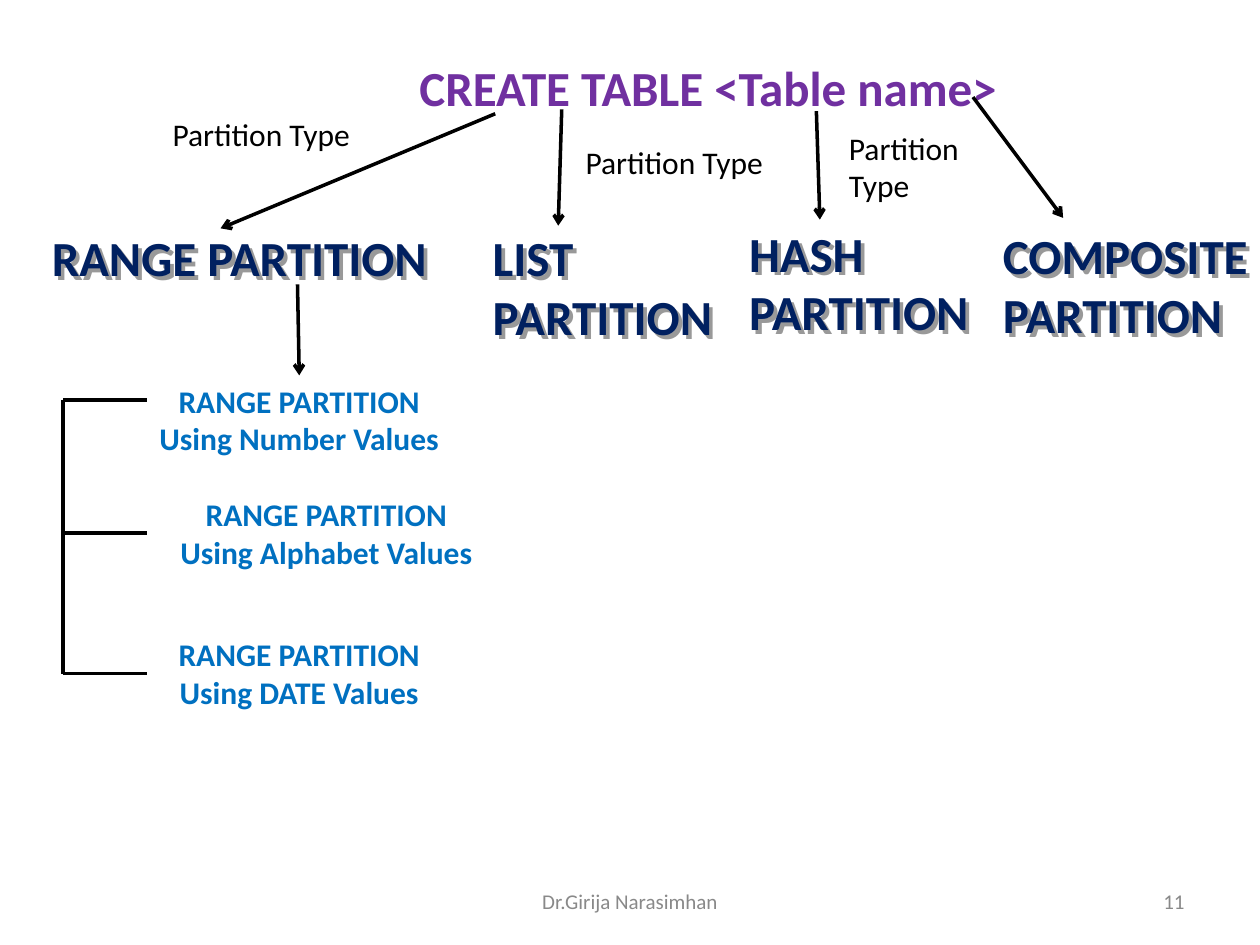
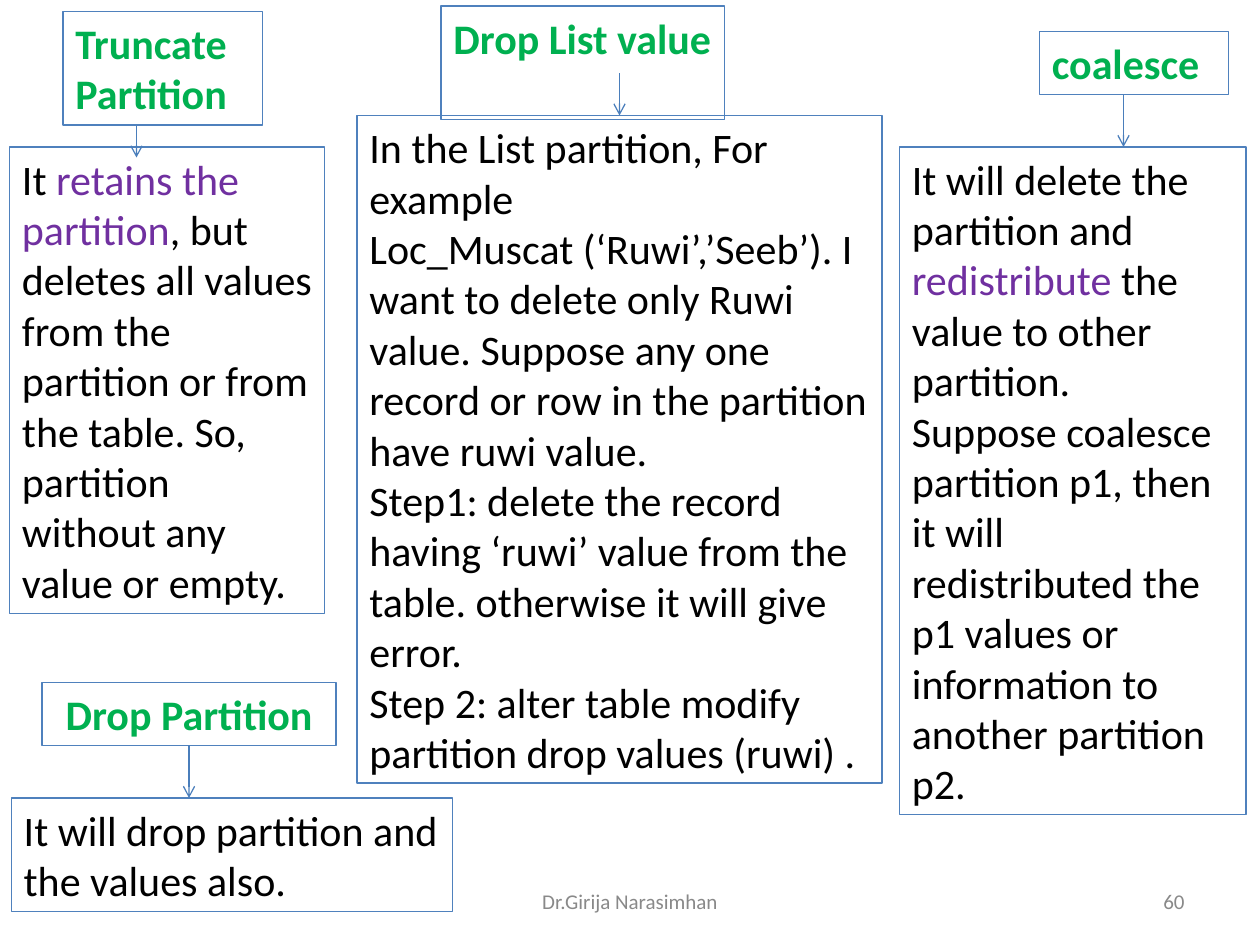
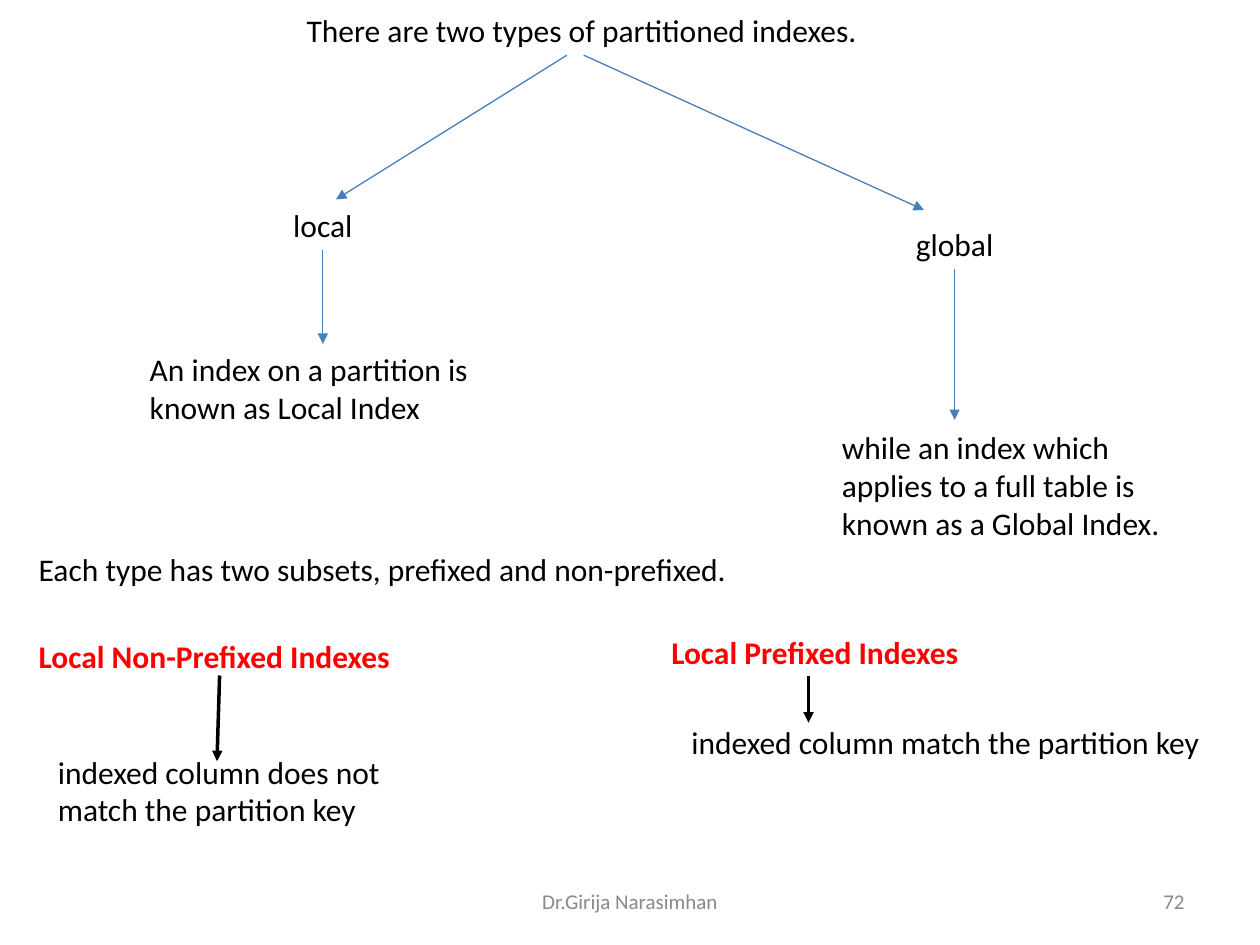
from dataclasses import dataclass
from typing import Any, NamedTuple

from lxml.etree import SubElement
from pptx import Presentation
from pptx.dml.color import RGBColor
from pptx.enum.shapes import MSO_CONNECTOR, MSO_SHAPE
from pptx.enum.text import MSO_ANCHOR, MSO_AUTO_SIZE, PP_ALIGN
from pptx.oxml.ns import qn
from pptx.util import Pt


@dataclass(frozen=True)
class Theme:
    font: str = "Calibri"
    black: str = "000000"
    grey: str = "898989"
    violet: str = "7030A0"
    navy: str = "002060"
    blue: str = "0070C0"
    green: str = "00B050"
    red: str = "FF0000"
    frame: str = "4F81BD"
    steel: str = "4A7EBB"
    shade: str = "999999"
    huge: float = 28
    large: float = 24
    plain: float = 18
    small: float = 12
    thick: float = 2
    thin: float = 0.75


THEME = Theme()


class Style(NamedTuple):
    size: float
    color: str
    bold: bool = False
    align: PP_ALIGN = PP_ALIGN.LEFT
    anchor: MSO_ANCHOR = MSO_ANCHOR.TOP
    framed: bool = False
    shadow: bool = False


class Pen(NamedTuple):
    color: str
    width: float
    tip: str = ""


class Box(NamedTuple):
    text: str
    left: float
    top: float
    width: float
    height: float
    style: Style
    wrap: bool = True
    grow: bool = True


class Line(NamedTuple):
    x1: float
    y1: float
    x2: float
    y2: float
    pen: Pen


class Page(NamedTuple):
    number: int
    title: Box | None
    boxes: list[Box]
    lines: list[Line]


MID = PP_ALIGN.CENTER
HEAD = Style(THEME.huge, THEME.violet, bold=True)
TYPE = Style(THEME.huge, THEME.navy, bold=True, shadow=True)
KIND = Style(THEME.plain, THEME.blue, bold=True, align=MID)
NOTE = Style(THEME.plain, THEME.black)
NAME = NOTE._replace(align=MID)
WARN = Style(THEME.plain, THEME.red, bold=True)
LABEL = Style(THEME.large, THEME.green, bold=True, framed=True)
BODY = Style(THEME.large, THEME.black, framed=True)
FOOT = Style(THEME.small, THEME.grey, align=MID, anchor=MSO_ANCHOR.MIDDLE)
FOLIO = FOOT._replace(align=PP_ALIGN.RIGHT)

RULE = Pen(THEME.black, THEME.thick)
OPEN = RULE._replace(tip="arrow")
SOLID = RULE._replace(tip="triangle")
FINE = Pen(THEME.steel, THEME.thin, "arrow")
LINK = FINE._replace(tip="triangle")


def apply(target: Any, values: dict[str, Any]) -> None:
    for key, value in values.items():
        setattr(target, key, value)


def rgb(color: str) -> RGBColor:
    return RGBColor.from_string(color)


def shade(shape: Any) -> None:
    effects = SubElement(shape._element.spPr, qn("a:effectLst"))
    cast = SubElement(effects, qn("a:outerShdw"), dist=str(Pt(3)), dir="2700000", algn="ctr")
    SubElement(cast, qn("a:srgbClr"), val=THEME.shade)


def write(shape: Any, box: Box) -> None:
    style = box.style
    frame = shape.text_frame
    apply(frame, {
        "word_wrap": box.wrap,
        "auto_size": MSO_AUTO_SIZE.SHAPE_TO_FIT_TEXT if box.grow else MSO_AUTO_SIZE.NONE,
        "vertical_anchor": style.anchor,
        "margin_left": Pt(7.2), "margin_right": Pt(7.2),
        "margin_top": Pt(3.6), "margin_bottom": Pt(3.6),
    })
    for row, text in enumerate(box.text.split("\n")):
        para = frame.add_paragraph() if row else frame.paragraphs[0]
        para.alignment = style.align
        for part, words in enumerate(text.split("|")):
            run = para.add_run()
            run.text = words
            apply(run.font, {"name": THEME.font, "size": Pt(style.size), "bold": style.bold})
            run.font.color.rgb = rgb(THEME.violet if part % 2 else style.color)
    apply(shape, {"left": Pt(box.left), "top": Pt(box.top),
                  "width": Pt(box.width), "height": Pt(box.height)})


def draw_box(slide: Any, box: Box) -> Any:
    area = [Pt(size) for size in box[1:5]]
    if box.style.framed:
        shape = slide.shapes.add_shape(MSO_SHAPE.RECTANGLE, *area)
        shape.shadow.inherit = False
        shape.fill.background()
        shape.line.color.rgb = rgb(THEME.frame)
        shape.line.width = Pt(THEME.thin)
    else:
        shape = slide.shapes.add_textbox(*area)
    write(shape, box)
    if box.style.shadow:
        shade(shape)
    return shape


def find_side(shapes: list[Any], x: float, y: float) -> tuple[Any, int] | None:
    for shape in shapes:
        left, top, wide, high = shape.left, shape.top, shape.width, shape.height
        sides = [(left + wide / 2, top), (left, top + high / 2),
                 (left + wide / 2, top + high), (left + wide, top + high / 2)]
        for side, (across, down) in enumerate(sides):
            if max(abs(across - Pt(x)), abs(down - Pt(y))) <= Pt(1):
                return shape, side
    return None


def draw_line(slide: Any, line: Line, shapes: list[Any]) -> None:
    ends = [Pt(size) for size in line[:4]]
    link = slide.shapes.add_connector(MSO_CONNECTOR.STRAIGHT, *ends)
    link.line.color.rgb = rgb(line.pen.color)
    link.line.width = Pt(line.pen.width)
    if line.pen.tip:
        SubElement(link.line._get_or_add_ln(), qn("a:tailEnd"), type=line.pen.tip)
    SubElement(link._element.spPr, qn("a:effectLst"))
    for join, x, y in ((link.begin_connect, line.x1, line.y1), (link.end_connect, line.x2, line.y2)):
        found = find_side(shapes, x, y)
        if found:
            join(*found)


def draw_page(deck: Any, page: Page) -> None:
    slide = deck.slides.add_slide(deck.slide_layouts[5 if page.title else 6])
    shapes = []
    if page.title:
        write(slide.shapes.title, page.title)
        shapes.append(slide.shapes.title)
    draw_box(slide, Box("Dr.Girija Narasimhan", 246, 500.5, 228, 29, FOOT, grow=False))
    draw_box(slide, Box(str(page.number), 516, 500.5, 168, 29, FOLIO, grow=False))
    shapes += [draw_box(slide, box) for box in page.boxes]
    for line in page.lines:
        draw_line(slide, line, shapes)


def type_page() -> Page:
    kinds = [("Number", -9, 214.5), ("Alphabet", 6.5, 279.5), ("DATE", -9, 359.5)]
    rungs = [228.5, 304.5, 385]
    return Page(
        11,
        Box("CREATE TABLE <Table name>", 232.5, 29, 350.5, 41, HEAD, wrap=False),
        [
            Box("RANGE PARTITION", 22.5, 126.5, 264, 41, TYPE),
            Box("LIST PARTITION", 274.5, 126.5, 157.5, 75, TYPE),
            Box("HASH PARTITION", 421, 124, 150, 75, TYPE),
            Box("COMPOSITE PARTITION", 566, 125.5, 185, 75, TYPE),
            Box("Partition Type", 91.5, 62, 126.5, 29, NOTE),
            Box("Partition Type", 327.5, 78, 126.5, 29, NOTE),
            Box("Partition Type", 478, 70, 78.5, 50, NOTE),
            *[Box(f"RANGE PARTITION\nUsing {kind} Values", left, top, 360, 50, KIND)
              for kind, left, top in kinds],
        ],
        [
            Line(283, 65, 126, 130.5, OPEN),
            Line(321, 62.5, 319, 129, OPEN),
            Line(466.5, 63.5, 468.5, 125.5, OPEN),
            Line(556, 55.5, 607.5, 124.5, OPEN),
            Line(170, 162.5, 171, 214.5, OPEN),
            Line(36, rungs[0], 36, rungs[-1], RULE),
            *[Line(36, rung, 84, rung, RULE) for rung in rungs],
        ],
    )


def drop_page() -> Page:
    return Page(
        60,
        None,
        [
            Box("Truncate Partition", 36, 6.5, 114, 65, LABEL),
            Box("Drop Partition", 24, 390, 168, 36, LABEL._replace(align=MID)),
            Box("coalesce", 594, 18, 108, 36, LABEL),
            Box("Drop List value", 252, 3.5, 162, 65, LABEL, grow=False),
            Box("It |retains the partition|, but deletes all values from the partition or from "
                "the table. So, partition without any value or empty.", 5.5, 84, 180, 266.5, BODY),
            Box("It will drop partition and the values also.", 6.5, 456, 252, 65, BODY),
            Box("It will delete the partition and |redistribute| the value to other partition.\n"
                "Suppose coalesce partition p1, then it will redistributed the p1 values or "
                "information to another partition p2.", 514, 84, 198, 381.5, BODY),
            Box("In the List partition, For example\n"
                "Loc_Muscat (‘Ruwi’,’Seeb’). I want to delete only Ruwi value. Suppose any one "
                "record or row in the partition have ruwi value.\n"
                "Step1: delete the record having ‘ruwi’ value from the table. otherwise it will "
                "give error.\n"
                "Step 2: alter table modify partition drop values (ruwi) .",
                204, 66, 300, 381.5, BODY),
        ],
        [
            Line(642, 54, 642, 84, FINE),
            Line(354, 42, 354, 66, FINE),
            Line(78, 72, 78, 90, FINE),
            Line(108, 426, 108, 456, FINE),
        ],
    )


def index_page() -> Page:
    return Page(
        72,
        Box("There are two types of partitioned indexes.", 168, 2.5, 522, 29, NOTE),
        [
            Box("local", 156.5, 114, 56, 29, NAME, wrap=False),
            Box("global", 513.5, 125, 64, 29, NAME, wrap=False),
            Box("An index on a partition is known as Local Index", 78.5, 196.5, 227.5, 50, NOTE),
            Box("while an index which applies to a full table is known as a Global Index.",
                474, 241, 222, 72, NOTE),
            Box("Each type has two subsets, prefixed and non-prefixed.", 15, 311, 461.5, 29, NOTE),
            Box("Local Prefixed Indexes", 376.5, 358, 189.5, 29, WARN),
            Box("indexed column match the partition key", 388, 409.5, 307.5, 29, NOTE),
            Box("Local Non-Prefixed Indexes", 15, 360.5, 218, 29, WARN, wrap=False),
            Box("indexed column does not match the partition key", 26, 426.5, 206.5, 50, NOTE),
        ],
        [
            Line(324, 31.5, 192, 114, LINK),
            Line(333.5, 31.5, 528, 120, LINK),
            Line(184.5, 143, 184.5, 196.5, LINK),
            Line(545.5, 154, 545.5, 240, LINK),
            Line(462, 386.5, 462, 413, SOLID),
            Line(125.5, 386, 124, 435, SOLID),
        ],
    )


def main() -> None:
    deck = Presentation()
    apply(deck, {"slide_width": Pt(720), "slide_height": Pt(540)})
    for page in (type_page(), drop_page(), index_page()):
        draw_page(deck, page)
    deck.save("out.pptx")


if __name__ == "__main__":
    main()
